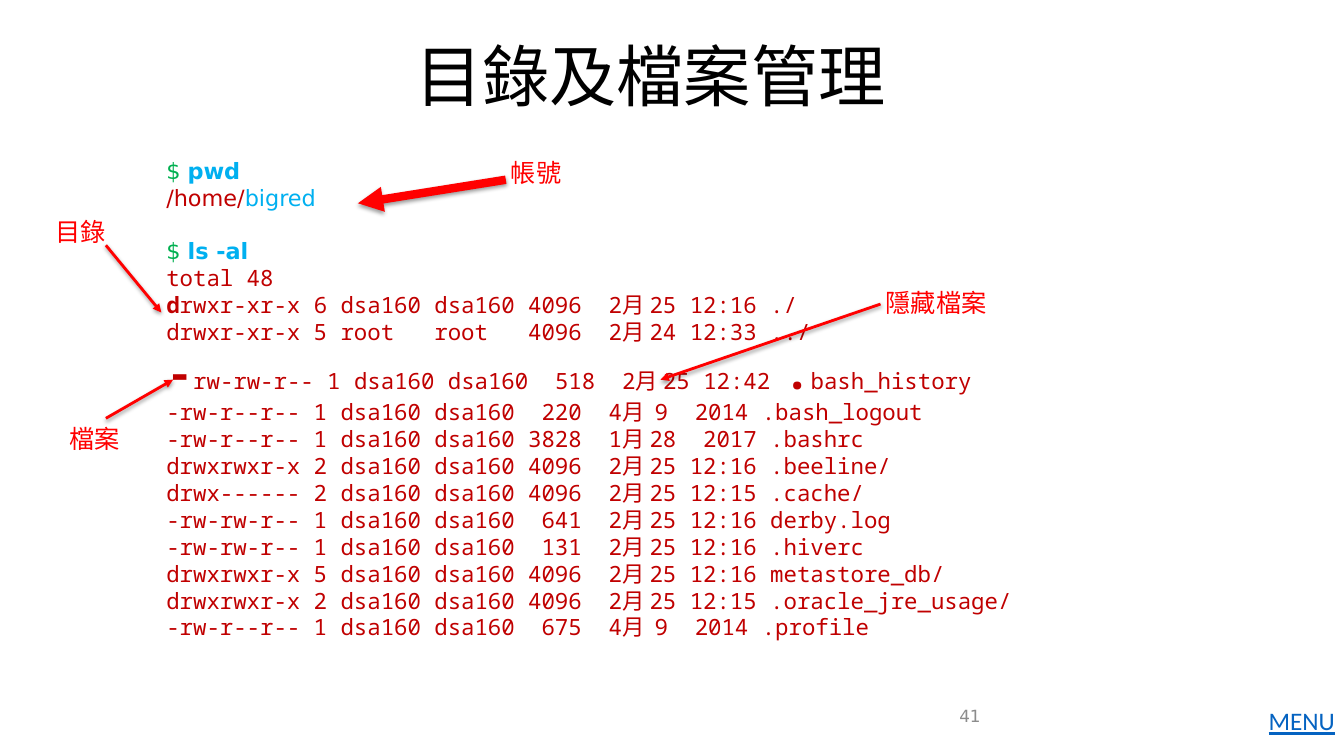
"""Build a slide that explains a directory listing with labelled arrows."""
from collections import namedtuple

from lxml import etree
from pptx import Presentation
from pptx.dml.color import RGBColor
from pptx.enum.shapes import MSO_CONNECTOR
from pptx.enum.text import MSO_ANCHOR, MSO_AUTO_SIZE, PP_ALIGN
from pptx.oxml import parse_xml
from pptx.oxml.ns import nsdecls, qn
from pptx.util import Inches, Pt

STRAIGHT = MSO_CONNECTOR.STRAIGHT
MIDDLE = MSO_ANCHOR.MIDDLE
GROW = MSO_AUTO_SIZE.SHAPE_TO_FIT_TEXT
CENTER = PP_ALIGN.CENTER

BLACK = RGBColor(0x00, 0x00, 0x00)
GRAY = RGBColor(0x8C, 0x8C, 0x8C)
BLUE = RGBColor(0x05, 0x63, 0xC1)
RED = RGBColor(0xFF, 0x00, 0x00)
GREEN = RGBColor(0x00, 0xB0, 0x50)
CYAN = RGBColor(0x00, 0xB0, 0xF0)
DARK_RED = RGBColor(0xC0, 0x00, 0x00)

SANS, MONO = "DejaVu Sans", "Noto Sans Mono"
CJK, NARROW, BODY = "Noto Sans CJK SC", "Arial Narrow", "Calibri"

CELL = Inches(1) / 12
SMALL_INSET = Inches(0.05)

Style = namedtuple("Style", "font size color bold", defaults=[False])
PROMPT = Style(SANS, 16, GREEN)
COMMAND = Style(SANS, 16, CYAN, True)
FOLDER = Style(SANS, 16, DARK_RED)
ACCOUNT = Style(SANS, 16, CYAN)
OUTPUT = Style(MONO, 16, DARK_RED)
STRONG = Style(MONO, 16, DARK_RED, True)
LARGE = Style(MONO, 32, DARK_RED, True)
LABEL = Style(NARROW, 18, RED)
LABEL_START = Style(BODY, 18, RED)

LIST_COMMAND = [("$ ", PROMPT), ("ls -al", COMMAND)]
TERMINAL = [
    [("$ ", PROMPT), ("pwd", COMMAND)],
    [("/home/", FOLDER), ("bigred", ACCOUNT)],
    LIST_COMMAND,
    [("total 48", OUTPUT)],
    [("d", STRONG),
     ("rwxr-xr-x 6 dsa160 dsa160 4096  2月 25 12:16 ./", OUTPUT)],
    [("drwxr-xr-x 5 root   root   4096  2月 24 12:33 ../", OUTPUT)],
    [("-", LARGE),
     ("rw-rw-r-- 1 dsa160 dsa160  518  2月 25 12:42 ", OUTPUT),
     (".", LARGE), ("bash_history", OUTPUT)],
] + [[(line, OUTPUT)] for line in (
    "-rw-r--r-- 1 dsa160 dsa160  220  4月  9  2014 .bash_logout",
    "-rw-r--r-- 1 dsa160 dsa160 3828  1月 28  2017 .bashrc",
    "drwxrwxr-x 2 dsa160 dsa160 4096  2月 25 12:16 .beeline/",
    "drwx------ 2 dsa160 dsa160 4096  2月 25 12:15 .cache/",
    "-rw-rw-r-- 1 dsa160 dsa160  641  2月 25 12:16 derby.log",
    "-rw-rw-r-- 1 dsa160 dsa160  131  2月 25 12:16 .hiverc",
    "drwxrwxr-x 5 dsa160 dsa160 4096  2月 25 12:16 metastore_db/",
    "drwxrwxr-x 2 dsa160 dsa160 4096  2月 25 12:15 .oracle_jre_usage/",
    "-rw-r--r-- 1 dsa160 dsa160  675  4月  9  2014 .profile",
)]

LABELS = [
    ((60.2, 18.1, 9.8, 5.4), [("帳號", LABEL)]),
    ((104.8, 33.6, 18.1, 5.4), [("隱", LABEL_START), ("藏檔案", LABEL)]),
    ((7.7, 49.8, 9.8, 5.4), [("檔案", LABEL)]),
    ((6, 25.1, 9.8, 5.4), [("目錄", LABEL)]),
]
ARROWS = [
    ((12.6, 29.2), (19.2, 37.2), 2),
    ((60.2, 21.4), (42.6, 24.2), 6),
    ((104.8, 36.2), (78.6, 45.2), 2),
    ((12.6, 49.8), (20.6, 45.2), 2),
]


def cells(*counts):
    """Turn counts of grid cells into lengths."""
    return [round(count * CELL) for count in counts]


def add_span(para, text, style):
    """Append one formatted run to a paragraph."""
    span = para.add_run()
    span.text = text
    font = span.font
    font.name, font.size, font.bold = style.font, Pt(style.size), style.bold
    font.color.rgb = style.color
    east_asian = etree.Element(qn("a:ea"), typeface=CJK)
    font._element.find(qn("a:latin")).addnext(east_asian)
    return span


def add_text(page, place, lines, wrap=True, inset=None):
    """Add a text box whose lines are lists of text and style pairs."""
    box = page.shapes.add_textbox(*cells(*place))
    frame = box.text_frame
    frame.word_wrap = wrap
    if inset is not None:
        frame.margin_left = frame.margin_right = inset
        frame.margin_top = frame.margin_bottom = inset
    for index, line in enumerate(lines):
        para = frame.add_paragraph() if index else frame.paragraphs[0]
        for text, style in line:
            add_span(para, text, style)
    return frame


def add_title(page, text):
    """Add the centred slide title."""
    frame = add_text(page, (29.6, 6, 97.4, 7.1),
                     [[(text, Style(CJK, 48, BLACK))]])
    frame.vertical_anchor = MIDDLE
    para = frame.paragraphs[0]
    para.alignment, para.line_spacing = CENTER, 0.9


def add_terminal(page):
    """Add the terminal session with a gap before its second command."""
    frame = add_text(page, (19.2, 18.1, 136.6, 58.9), TERMINAL,
                     inset=SMALL_INSET)
    frame.auto_size = GROW
    frame.paragraphs[TERMINAL.index(LIST_COMMAND)].space_before = Pt(19)


def add_arrow(page, start, end, width):
    """Add a red arrow with a soft shadow below it."""
    arrow = page.shapes.add_connector(STRAIGHT, *cells(*start, *end))
    arrow.line.color.rgb = RED
    arrow.line.width = Pt(width)
    etree.SubElement(arrow.line._get_or_add_ln(), qn("a:tailEnd"),
                     type="triangle")
    arrow._element.spPr.append(parse_xml(
        f'<a:effectLst {nsdecls("a")}>'
        f'<a:outerShdw blurRad="{Pt(3)}" dist="{Pt(1.6)}" dir="5400000" '
        'rotWithShape="0"><a:srgbClr val="000000"><a:alpha val="38000"/>'
        '</a:srgbClr></a:outerShdw></a:effectLst>'))


def main():
    """Compose and save the slide."""
    deck = Presentation()
    deck.slide_width, deck.slide_height = Inches(13.33), Inches(7.5)
    page = deck.slides.add_slide(deck.slide_layouts[6])

    menu = add_text(page, (149.8, 83.4, 10.3, 4.8),
                    [[("MENU", Style(BODY, 18, BLUE))]], wrap=False)
    menu.paragraphs[0].runs[0].font.underline = True
    add_text(page, (113, 83.4, 36, 4.8), [[("41", Style(SANS, 12, GRAY))]])
    add_title(page, "目錄及檔案管理 ")
    add_terminal(page)
    for start, end, width in ARROWS:
        add_arrow(page, start, end, width)
    for place, line in LABELS:
        label = add_text(page, place, [line], wrap=False, inset=SMALL_INSET)
        label.auto_size = GROW

    deck.save("out.pptx")


if __name__ == "__main__":
    main()
